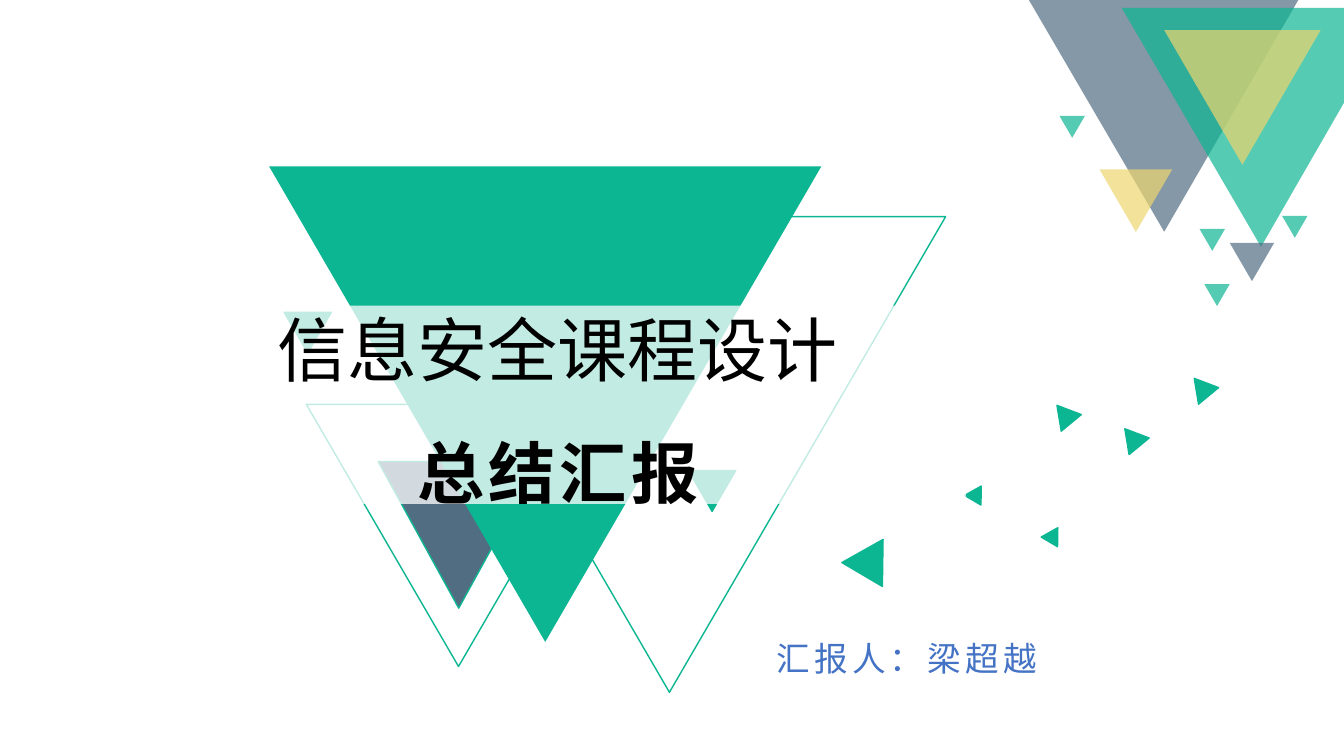
from dataclasses import dataclass
from typing import Optional

from lxml.etree import SubElement
from pptx import Presentation
from pptx.dml.color import RGBColor
from pptx.enum.shapes import MSO_SHAPE
from pptx.enum.text import MSO_ANCHOR, PP_ALIGN
from pptx.oxml.ns import qn
from pptx.shapes.autoshape import Shape
from pptx.slide import Slide
from pptx.util import Cm, Pt


@dataclass(frozen=True)
class Theme:
    green: str = "0CB692"
    slate: str = "516D82"
    yellow: str = "EED66F"
    white: str = "FFFFFF"
    black: str = "000000"
    blue: str = "4472C4"
    font: str = "Noto Sans CJK SC"
    title_size: int = 50
    subtitle_size: int = 48
    presenter_size: int = 24
    outline_width: int = 1
    triangle_ratio: float = 0.861
    corner_opacity: int = 70
    band_opacity: int = 75


THEME = Theme()


@dataclass(frozen=True)
class Paint:
    fill: Optional[str] = None
    outline: Optional[str] = None
    opacity: int = 100


OUTLINED = Paint(outline=THEME.green)
GREEN_EDGED = Paint(THEME.green, THEME.green)
SLATE_EDGED = Paint(THEME.slate, THEME.green)
GREEN = Paint(THEME.green)
SHEER_GREEN = Paint(THEME.green, opacity=THEME.corner_opacity)
SHEER_SLATE = Paint(THEME.slate, opacity=THEME.corner_opacity)
SHEER_YELLOW = Paint(THEME.yellow, opacity=THEME.corner_opacity)
BAND = Paint(THEME.white, opacity=THEME.band_opacity)


@dataclass(frozen=True)
class Triangle:
    left: float
    top: float
    width: float
    paint: Paint
    rotation: float = 180
    ratio: float = THEME.triangle_ratio


@dataclass(frozen=True)
class Polygon:
    points: tuple[tuple[float, float], ...]
    paint: Paint


@dataclass(frozen=True)
class Caption:
    text: str
    left: float
    top: float
    width: float
    height: float
    size: int
    color: str
    bold: bool = False
    spacing: int = 0


CENTRE_TRIANGLES = (
    Triangle(9.91, 5.46, 13.92, OUTLINED),
    Triangle(7.16, 7.87, 1.19, GREEN_EDGED),
    Triangle(7.72, 10.19, 7.67, OUTLINED),
    Triangle(17.35, 11.86, 1.19, GREEN_EDGED),
    Triangle(9.53, 11.63, 4.06, SLATE_EDGED, ratio=0.91),
    Triangle(21.39, 13.82, 1.19, GREEN_EDGED, 150.7),
    Triangle(24.38, 12.34, 0.48, GREEN_EDGED, 150.7),
    Triangle(26.31, 13.39, 0.48, GREEN_EDGED, 150.7),
    Triangle(30.1, 9.53, 0.66, GREEN_EDGED, 80.6),
    Triangle(26.64, 10.21, 0.66, GREEN_EDGED, 80.6),
    Triangle(28.35, 10.8, 0.66, GREEN_EDGED, 80.6),
    Triangle(6.78, 4.19, 13.92, GREEN),
)
CORNER_POLYGONS = (
    Polygon(((25.93, 0), (32.72, 0), (29.34, 5.84)), SHEER_SLATE),
    Polygon(((28.27, 0.2), (33.87, 0.2), (33.87, 2.59), (31.78, 6.22)), SHEER_GREEN),
)
CORNER_TRIANGLES = (
    Triangle(29.34, 0.76, 3.94, SHEER_YELLOW),
    Triangle(27.71, 4.27, 1.83, SHEER_YELLOW),
    Triangle(32.31, 5.44, 0.64, SHEER_GREEN),
    Triangle(30.35, 7.16, 0.64, SHEER_GREEN),
    Triangle(30.23, 5.77, 0.64, SHEER_GREEN),
    Triangle(30.99, 6.12, 1.12, SHEER_SLATE),
    Triangle(26.7, 2.92, 0.64, SHEER_GREEN),
)
TITLE = Caption("信息安全课程设计", 5.92, 7.59, 16.28, 2.39, THEME.title_size, THEME.black)
SUBTITLE = Caption("总结汇报", 5.92, 10.72, 16.28, 2.31, THEME.subtitle_size, THEME.black, True, 3)
PRESENTER = Caption("汇报人：梁超越", 14.71, 15.95, 16.28, 1.27, THEME.presenter_size, THEME.blue, spacing=3)


def apply_paint(shape: Shape, paint: Paint) -> None:
    shape.shadow.inherit = False
    if paint.fill:
        shape.fill.solid()
        shape.fill.fore_color.rgb = RGBColor.from_string(paint.fill)
        if paint.opacity < 100:
            color = shape.element.spPr.find(qn("a:solidFill")).find(qn("a:srgbClr"))
            SubElement(color, qn("a:alpha"), val=str(paint.opacity * 1000))
    else:
        shape.fill.background()
    if paint.outline:
        shape.line.color.rgb = RGBColor.from_string(paint.outline)
        shape.line.width = Pt(THEME.outline_width)
    else:
        shape.line.fill.background()


def draw_triangle(slide: Slide, triangle: Triangle) -> None:
    shape = slide.shapes.add_shape(
        MSO_SHAPE.ISOSCELES_TRIANGLE, Cm(triangle.left), Cm(triangle.top),
        Cm(triangle.width), Cm(triangle.width * triangle.ratio))
    shape.rotation = triangle.rotation
    apply_paint(shape, triangle.paint)


def draw_polygon(slide: Slide, polygon: Polygon) -> None:
    start, *others = [(Cm(x), Cm(y)) for x, y in polygon.points]
    builder = slide.shapes.build_freeform(*start)
    builder.add_line_segments(others, close=True)
    apply_paint(builder.convert_to_shape(), polygon.paint)


def write_caption(shape: Shape, caption: Caption) -> None:
    shape.left, shape.top = Cm(caption.left), Cm(caption.top)
    shape.width, shape.height = Cm(caption.width), Cm(caption.height)
    text_frame = shape.text_frame
    text_frame.text = caption.text
    text_frame.word_wrap = True
    text_frame.vertical_anchor = MSO_ANCHOR.MIDDLE
    paragraph = text_frame.paragraphs[0]
    paragraph.alignment = PP_ALIGN.CENTER
    paragraph.space_before = Pt(0)
    font = paragraph.runs[0].font
    font.name = THEME.font
    font.size = Pt(caption.size)
    font.bold = caption.bold
    font.color.rgb = RGBColor.from_string(caption.color)
    properties = paragraph.runs[0]._r.get_or_add_rPr()
    properties.set("spc", str(caption.spacing * 100))
    SubElement(properties, qn("a:ea"), typeface=THEME.font)


def bring_to_front(shape: Shape) -> None:
    shape.element.getparent().append(shape.element)


def main() -> None:
    presentation = Presentation()
    presentation.slide_width, presentation.slide_height = Cm(33.87), Cm(19.05)
    slide = presentation.slides.add_slide(presentation.slide_layouts[0])

    for triangle in CENTRE_TRIANGLES:
        draw_triangle(slide, triangle)
    for polygon in CORNER_POLYGONS:
        draw_polygon(slide, polygon)
    for triangle in CORNER_TRIANGLES:
        draw_triangle(slide, triangle)
    band = slide.shapes.add_shape(MSO_SHAPE.RECTANGLE, Cm(3.51), Cm(7.7), Cm(20.83), Cm(5))
    apply_paint(band, BAND)

    for placeholder, caption in zip(slide.placeholders, (TITLE, SUBTITLE)):
        write_caption(placeholder, caption)
        bring_to_front(placeholder)
    write_caption(slide.shapes.add_textbox(0, 0, 0, 0), PRESENTER)
    presentation.save("out.pptx")


if __name__ == "__main__":
    main()
